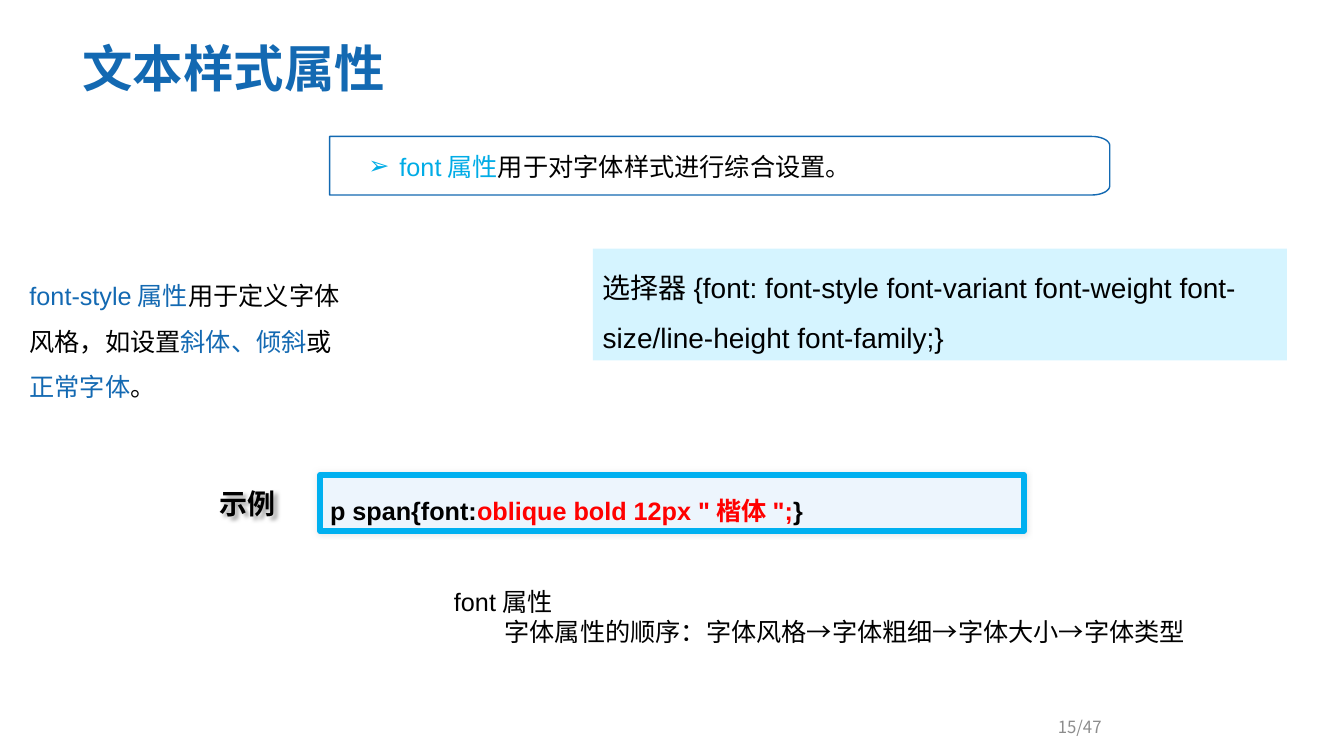
import math

import pptx
import pptx.dml.color
import pptx.enum.shapes
import pptx.enum.text
import pptx.oxml
import pptx.oxml.ns
import pptx.util

BLUE, CYAN, BLACK, RED, GREY = "1369B2", "00ACE6", "000000", "FF0000", "8C8C8C"
SANS, CJK = "Arial", "Noto Sans CJK SC"
NAMESPACE = pptx.oxml.ns.nsdecls("a")
MIDDLE = pptx.enum.text.MSO_ANCHOR.MIDDLE
TOP = pptx.enum.text.MSO_ANCHOR.TOP
LEFT = pptx.enum.text.PP_ALIGN.LEFT
CENTER = pptx.enum.text.PP_ALIGN.CENTER
RECTANGLE = pptx.enum.shapes.MSO_SHAPE.RECTANGLE

deck = pptx.Presentation()
deck.slide_width = pptx.util.Inches(13.33)
deck.slide_height = pptx.util.Inches(7.5)
page = deck.slides.add_slide(deck.slide_layouts[6])
column, row = deck.slide_width / 100, deck.slide_height / 100


def colour(target, hex_code):
    """Give a fill one solid colour."""
    target.solid()
    target.fore_color.rgb = pptx.dml.color.RGBColor.from_string(hex_code)


def add_text(shape, paragraphs, size, font, bold=False, spacing=1.0, align=LEFT,
             anchor=TOP, wrap=True, grow=True):
    """Fill a shape with paragraphs, each a list of (text, colour) runs."""
    frame = shape.text_frame
    frame.word_wrap = wrap
    frame.vertical_anchor = anchor
    fit = pptx.enum.text.MSO_AUTO_SIZE
    frame.auto_size = fit.SHAPE_TO_FIT_TEXT if grow else fit.NONE
    for index, runs in enumerate(paragraphs):
        para = frame.add_paragraph() if index else frame.paragraphs[0]
        para.alignment = align
        para.line_spacing = spacing
        for text, hex_code in runs:
            span = para.add_run()
            span.text = text
            span.font.size = pptx.util.Pt(size)
            span.font.bold = bold
            span.font.name = font
            colour(span.font.fill, hex_code)
            span.font._element.append(pptx.oxml.parse_xml(
                f'<a:ea {NAMESPACE} typeface="{CJK}"/>'))


# Banner outline: square on the left, rounded corners on the right
left, top, right, bottom = 24.53 * column, 18.05 * row, 82.57 * column, 25.8 * row
radius_x, radius_y = 1.35 * column, 1.2 * row
corner = [(right - radius_x * (1 - math.sin(math.radians(angle))),
           top + radius_y * (1 - math.cos(math.radians(angle))))
          for angle in range(0, 91, 10)]
lower_corner = [(x, top + bottom - y) for x, y in reversed(corner)]
outline = page.shapes.build_freeform(round(left), round(top))
outline.add_line_segments(
    [(round(x), round(y)) for x, y in corner + lower_corner + [(left, bottom)]])
banner = outline.convert_to_shape()
banner.shadow.inherit = False
colour(banner.fill, "FFFFFF")
colour(banner.line.fill, BLUE)
banner.line.width = pptx.util.Pt(1)

# Left, top, width and height in percent of the slide; a fill makes it a panel
areas = {
    "style": (1.46, 34.47, 25.2, 19.47, None),
    "summary": (26.66, 19.33, 54.01, 5.33, None),
    "syntax": (44.11, 32.87, 51.65, 14.8, "D5F4FF"),
    "title": (4.58, 3.33, 56.34, 11.2, None),
    "example": (15.6, 63.6, 5.78, 5.87, None),
    "code": (23.82, 62.8, 52.36, 7.47, "EDF5FD"),
    "order": (33.04, 76.93, 61.14, 9.47, None),
    "number": (75.54, 93.2, 9.6, 5.33, None),
}
boxes = {}
for name, (x, y, width, height, panel) in areas.items():
    place = [round(x * column), round(y * row), round(width * column), round(height * row)]
    if panel:
        box = page.shapes.add_shape(RECTANGLE, *place)
        colour(box.fill, panel)
        box.line.fill.background()
    else:
        box = page.shapes.add_textbox(*place)
    box.shadow.inherit = False
    boxes[name] = box

add_text(boxes["style"], [[
    ("font-style属性", BLUE), ("用于定义字体风格，如设置", BLACK), ("斜体、倾斜", BLUE),
    ("或", BLACK), ("正常字体", BLUE), ("。", BLACK)]], 18, SANS, spacing=1.5)
add_text(boxes["summary"], [[
    ("font属性", CYAN), ("用于对字体样式进行综合设置。", BLACK)]], 18, SANS)
add_text(boxes["syntax"], [[
    ("选择器{font: font-style font-variant font-weight font-size/line-height font-family;}",
     BLACK)]], 20, SANS, spacing=1.5)
add_text(boxes["title"], [[("文本样式属性", BLUE)]], 36, CJK, bold=True,
         anchor=MIDDLE, grow=False)
add_text(boxes["example"], [[("示例", BLACK)]], 20, CJK, bold=True,
         anchor=MIDDLE, wrap=False)
add_text(boxes["code"], [[
    ("p span{font:", BLACK), ('oblique bold 12px "楷体";', RED), ("}", BLACK)]],
    18, SANS, bold=True, spacing=1.5)
add_text(boxes["order"], [
    [("font属性", BLACK)],
    [("字体属性的顺序：字体风格→字体粗细→字体大小→字体类型", BLACK)]], 18, SANS)
add_text(boxes["number"], [[("15/47", GREY)]], 12, CJK, spacing=1.2, align=CENTER,
         anchor=MIDDLE, grow=False)

# Indents and the arrow bullet
for name, index, margin, indent in (
        ("summary", 0, 0.31, -0.31), ("title", 0, 0.11, 0), ("order", 1, 0.5, 0)):
    properties = boxes[name].text_frame.paragraphs[index]._p.get_or_add_pPr()
    properties.set("marL", str(pptx.util.Inches(margin)))
    properties.set("indent", str(pptx.util.Inches(indent)))
    if indent:
        properties.append(pptx.oxml.parse_xml(f'<a:buFont {NAMESPACE} typeface="{SANS}"/>'))
        properties.append(pptx.oxml.parse_xml(f'<a:buChar {NAMESPACE} char="➢"/>'))

# Code frame, its soft halo and the drop shadow of the example label
code = boxes["code"]
colour(code.line.fill, "00B0F0")
code.line.width = pptx.util.Pt(4)
code.line._get_or_add_ln().append(pptx.oxml.parse_xml(f"<a:round {NAMESPACE}/>"))
for name, blur, distance, shade in (("code", 4, 0, "E6E6E6"), ("example", 3, 3, "A0A0A0")):
    effects = boxes[name]._element.spPr.find(pptx.oxml.ns.qn("a:effectLst"))
    effects.append(pptx.oxml.parse_xml(
        f'<a:outerShdw {NAMESPACE} blurRad="{pptx.util.Pt(blur)}" '
        f'dist="{pptx.util.Pt(distance)}" dir="2700000">'
        f'<a:srgbClr val="{shade}"/></a:outerShdw>'))

deck.save("out.pptx")
